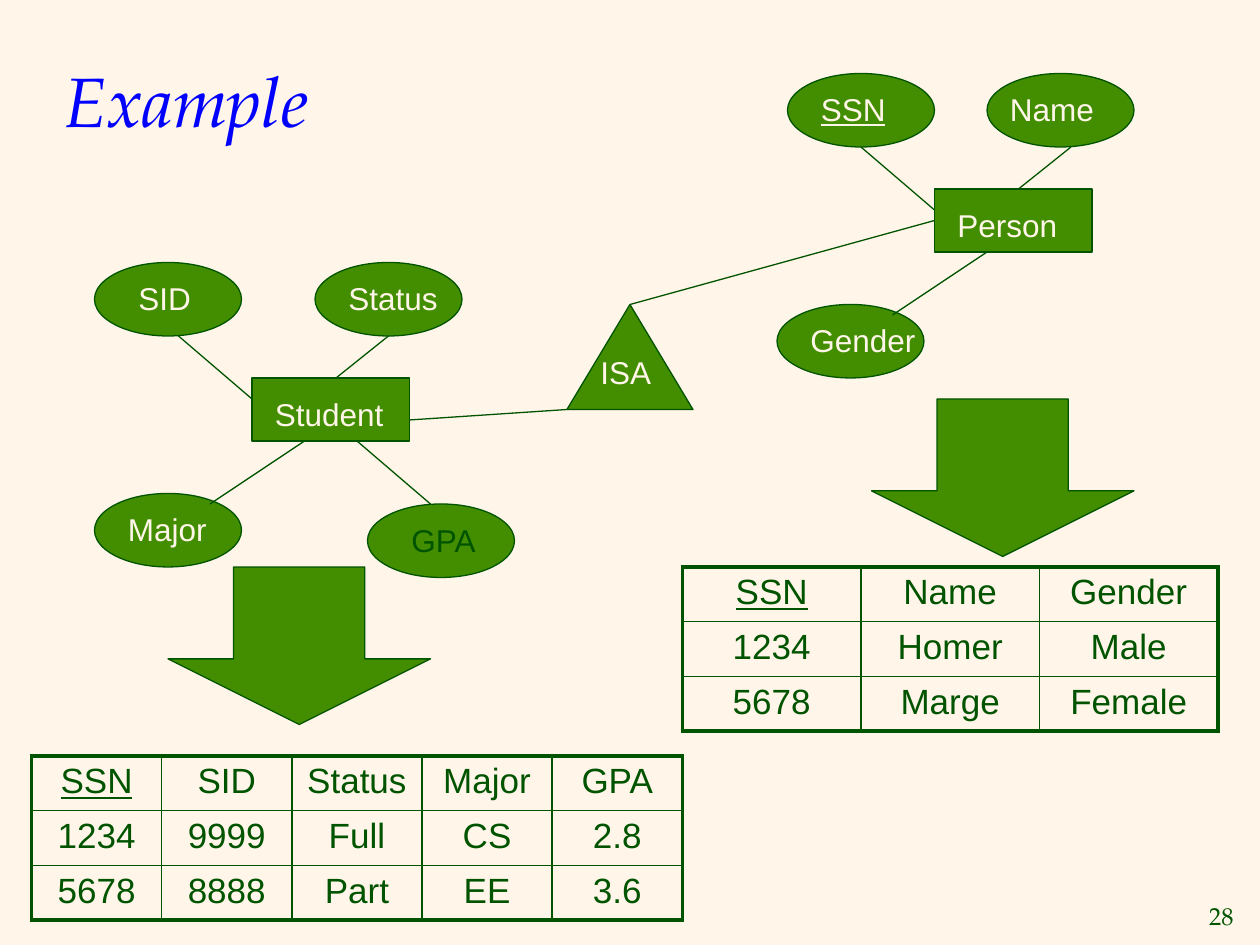
from lxml import etree
from pptx import Presentation
from pptx.dml.color import RGBColor
from pptx.enum.shapes import MSO_CONNECTOR, MSO_SHAPE
from pptx.enum.text import MSO_ANCHOR, PP_ALIGN
from pptx.oxml.ns import qn
from pptx.util import Pt

BOX, OVAL = MSO_SHAPE.RECTANGLE, MSO_SHAPE.OVAL
ARROW, ISA = MSO_SHAPE.DOWN_ARROW, MSO_SHAPE.FLOWCHART_EXTRACT
LINE = MSO_CONNECTOR.STRAIGHT
TOP, MID = MSO_ANCHOR.TOP, MSO_ANCHOR.MIDDLE
LEFT, MIDST, RIGHT = PP_ALIGN.LEFT, PP_ALIGN.CENTER, PP_ALIGN.RIGHT

HUES = {"back": "FFF6E9", "green": "438E00", "dark": "005400", "blue": "0000FF"}
SANS, SERIF = "Arial", "TeX Gyre Pagella"
KEY = "SSN"

SIZES = {BOX: (90, 36), OVAL: (84, 42), ARROW: (150, 90), ISA: (72, 60)}

# kind, left, top
NODES = [
    (BOX, 144, 216), (OVAL, 180, 150), (OVAL, 54, 150), (OVAL, 54, 282),
    (OVAL, 210, 288), (ARROW, 96, 324), (ARROW, 498, 228), (BOX, 534, 108),
    (OVAL, 444, 174), (OVAL, 450, 42), (OVAL, 564, 42), (ISA, 324, 174),
]
LINKS = [
    (102, 192, 144, 228), (222, 192, 192, 216), (246, 288, 204, 252),
    (120, 288, 174, 252), (492, 84, 534, 120), (612, 84, 582, 108),
    (510, 180, 564, 144), (360, 174, 534, 126), (324, 234, 234, 240),
]
# text, left, top, width, hue
LABELS = [
    ("Student", 150, 222, 78, "back"), ("SID", 72, 156, 60, "back"),
    ("Status", 192, 156, 66, "back"), ("Major", 66, 288, 60, "back"),
    ("GPA", 228, 294, 54, "dark"), ("Person", 540, 114, 78, "back"),
    ("Gender", 456, 180, 84, "back"), (KEY, 462, 48, 60, "back"),
    ("Name", 570, 48, 66, "back"), ("ISA", 336, 198, 66, "back"),
]
# left, top, column width, rows
TABLES = [
    (18, 432, 74.4, [
        (KEY, "SID", "Status", "Major", "GPA"),
        ("1234", "9999", "Full", "CS", "2.8"),
        ("5678", "8888", "Part", "EE", "3.6")]),
    (390, 324, 102, [
        (KEY, "Name", "Gender"),
        ("1234", "Homer", "Male"),
        ("5678", "Marge", "Female")]),
]
ROW = 31.2


def hue(name):
    return RGBColor.from_string(HUES[name])


def write(frame, text, size, font, tint, align=LEFT):
    para = frame.paragraphs[0]
    para.alignment = align
    run = para.add_run()
    run.text = text
    run.font.size = Pt(size)
    run.font.name = font
    run.font.color.rgb = hue(tint)
    run.font.underline = text == KEY
    return para, run


def add_text(slide, spot, text, size, font, tint, align=LEFT, anchor=TOP, wrap=True):
    frame = slide.shapes.add_textbox(*map(Pt, spot)).text_frame
    frame.word_wrap = wrap
    frame.vertical_anchor = anchor
    return write(frame, text, size, font, tint, align)


def add_node(slide, kind, left, top):
    node = slide.shapes.add_shape(kind, *map(Pt, (left, top, *SIZES[kind])))
    node.shadow.inherit = False
    node.fill.solid()
    node.fill.fore_color.rgb = hue("green")
    node.line.color.rgb = hue("dark")
    node.line.width = Pt(0.75)
    if kind == ARROW:
        node.adjustments[0] = 0.5
        node.adjustments[1] = 0.25 * 150 / 90


def add_link(slide, ends):
    link = slide.shapes.add_connector(LINE, *map(Pt, ends))
    link.line.color.rgb = hue("dark")
    link.line.width = Pt(0.75)
    etree.SubElement(link._element.spPr, qn("a:effectLst"))


def add_edges(cell, edges):
    props = cell._tc.get_or_add_tcPr()
    for spot, (side, outer) in enumerate(edges):
        edge = etree.Element(qn("a:ln" + side), w=str(Pt(2.25 if outer else 1)))
        fill = etree.SubElement(edge, qn("a:solidFill"))
        etree.SubElement(fill, qn("a:srgbClr"), val=HUES["dark"])
        props.insert(spot, edge)


def add_grid(slide, left, top, wide, rows):
    high, count = len(rows), len(rows[0])
    spot = map(Pt, (left, top, wide * count, ROW * high))
    grid = slide.shapes.add_table(high, count, *spot).table
    grid.first_row = grid.horz_banding = False
    for col in grid.columns:
        col.width = Pt(wide)
    for r, row in enumerate(rows):
        grid.rows[r].height = Pt(ROW)
        for c, text in enumerate(row):
            cell = grid.cell(r, c)
            cell.fill.solid()
            cell.fill.fore_color.rgb = hue("back")
            write(cell.text_frame, text, 20, SANS, "dark", MIDST)
            add_edges(cell, [("L", c == 0), ("R", c == count - 1),
                             ("T", r == 0), ("B", r == high - 1)])


def main():
    deck = Presentation()
    deck.slide_width, deck.slide_height = Pt(720), Pt(540)
    slide = deck.slides.add_slide(deck.slide_layouts[6])
    slide.background.fill.solid()
    slide.background.fill.fore_color.rgb = hue("back")

    add_text(slide, (680.4, 511.2, 31.7, 23.8), "28", 14, SERIF, "dark",
             RIGHT, MID, False)
    _, title = add_text(slide, (30, 12, 648, 90), "Example", 40, SERIF, "blue",
                        anchor=MID)
    title.font.italic = True
    for node in NODES:
        add_node(slide, *node)
    for ends in LINKS:
        add_link(slide, ends)
    for text, left, top, wide, tint in LABELS:
        para, _ = add_text(slide, (left, top, wide, 28.8), text, 18, SANS, tint)
        para.space_before = Pt(1.5)
    for grid in TABLES:
        add_grid(slide, *grid)
    deck.save("out.pptx")


if __name__ == "__main__":
    main()
